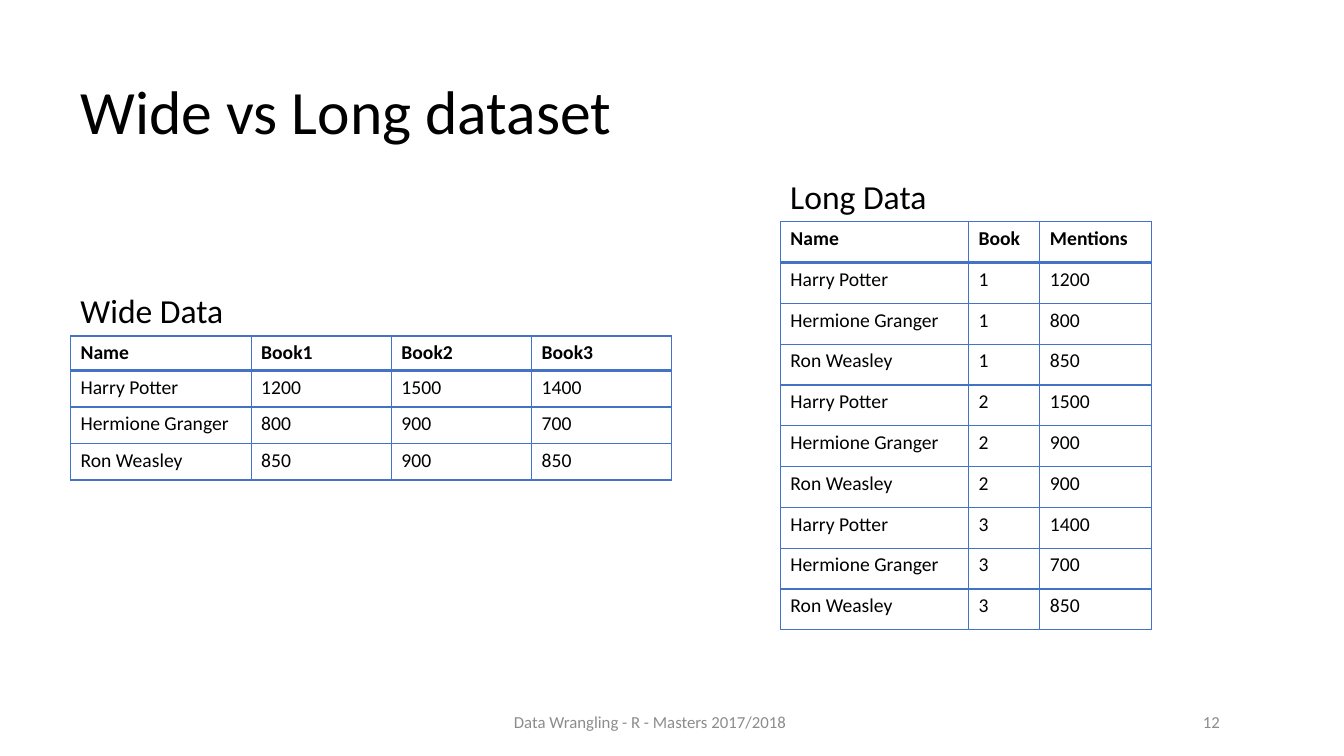
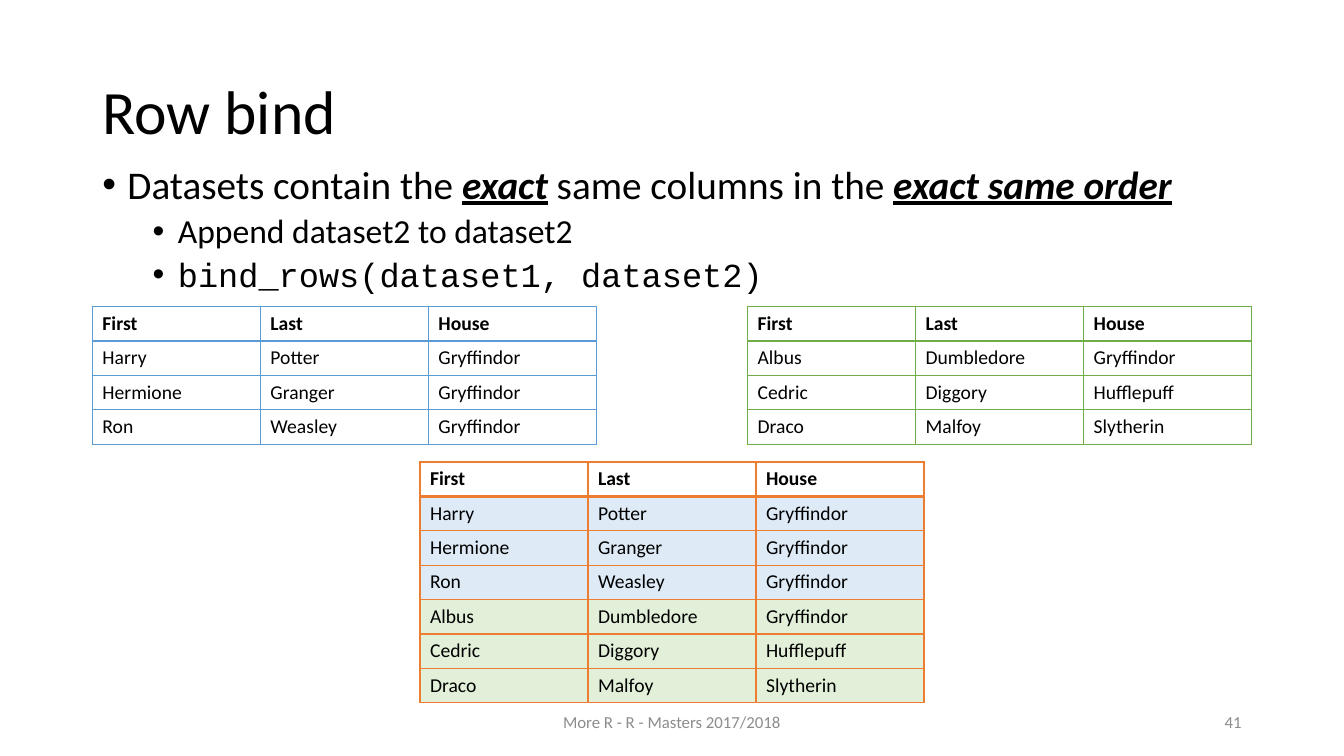
from dataclasses import dataclass, field
from typing import NamedTuple

from pptx import Presentation
from pptx.dml.color import RGBColor
from pptx.enum.text import MSO_ANCHOR, PP_ALIGN
from pptx.oxml.ns import qn
from pptx.slide import Slide
from pptx.table import _Cell
from pptx.text.text import TextFrame, _Paragraph
from pptx.util import Emu, Inches, Pt
from lxml.etree import SubElement

GRID_COLUMNS, GRID_ROWS = 160, 90
UNIT = Inches(1) / 12
CONTENT_WIDTH = 138
LABEL_HEIGHT = 6.1
FOOTER_TOP, FOOTER_HEIGHT = 83.5, 4.8

BLACK = RGBColor(0x00, 0x00, 0x00)
GREY = RGBColor(0x8C, 0x8C, 0x8C)
ROYAL_BLUE = RGBColor(0x44, 0x72, 0xC4)
BLUE = RGBColor(0x5B, 0x9B, 0xD5)
GREEN = RGBColor(0x70, 0xAD, 0x47)
ORANGE = RGBColor(0xED, 0x7D, 0x31)
PALE_BLUE = RGBColor(0xDE, 0xEB, 0xF7)
PALE_GREEN = RGBColor(0xE2, 0xF0, 0xD9)

BODY_FONT = "Calibri"
CODE_FONT = "Courier New"

Row = tuple[str, ...]


class Area(NamedTuple):
    """A place on the slide, in grid units."""
    left: float
    top: float
    width: float
    height: float


class Span(NamedTuple):
    text: str
    font: str = BODY_FONT
    stressed: bool = False


class Bullet(NamedTuple):
    spans: tuple[Span, ...]
    level: int = 0


@dataclass(frozen=True)
class DataTable:
    left: float
    top: float
    columns: tuple[float, ...]
    heights: tuple[float, ...]
    rows: tuple[Row, ...]
    color: RGBColor
    fills: dict[int, RGBColor] = field(default_factory=dict)


def units(count: float) -> Emu:
    return Emu(round(count * UNIT))


def write(para: _Paragraph, text: str, *, size: float, font: str = BODY_FONT,
          color: RGBColor = BLACK, bold: bool = False, italic: bool = False,
          underline: bool = False) -> None:
    span = para.add_run()
    span.text = text
    span.font.name = font
    span.font.size = Pt(size)
    span.font.color.rgb = color
    span.font.bold = bold
    span.font.italic = italic
    span.font.underline = underline


def add_frame(page: Slide, area: Area, anchor: MSO_ANCHOR) -> TextFrame:
    box = page.shapes.add_textbox(*map(units, area))
    box.text_frame.word_wrap = True
    box.text_frame.vertical_anchor = anchor
    return box.text_frame


def add_line(page: Slide, area: Area, text: str, *, size: float,
             color: RGBColor = BLACK, align: PP_ALIGN = PP_ALIGN.LEFT,
             anchor: MSO_ANCHOR = MSO_ANCHOR.MIDDLE) -> None:
    """Add a text box holding a single paragraph."""
    para = add_frame(page, area, anchor).paragraphs[0]
    para.alignment = align
    para.line_spacing = 0.9 if size > 40 else 1.0
    write(para, text, size=size, color=color)


def add_page(deck: Presentation, margin: float, title: str, footer: str,
             number: int) -> Slide:
    """Add a blank slide with the shared title, footer and slide number."""
    page = deck.slides.add_slide(deck.slide_layouts[6])
    add_line(page, Area(margin, 4.9, CONTENT_WIDTH, 17.4), title, size=44)
    add_line(page, Area(margin + 42, FOOTER_TOP, 54, FOOTER_HEIGHT), footer,
             size=12, color=GREY, align=PP_ALIGN.CENTER)
    add_line(page, Area(margin + 102, FOOTER_TOP, 36, FOOTER_HEIGHT), str(number),
             size=12, color=GREY, align=PP_ALIGN.RIGHT)
    return page


def add_bullets(page: Slide, area: Area, bullets: tuple[Bullet, ...]) -> None:
    frame = add_frame(page, area, MSO_ANCHOR.TOP)
    for index, bullet in enumerate(bullets):
        para = frame.add_paragraph() if index else frame.paragraphs[0]
        para.level = bullet.level
        para.line_spacing = 0.9
        para.space_before = Pt(5 if bullet.level else 10)
        properties = para._p.get_or_add_pPr()
        properties.set("marL", str(Inches(0.25 + 0.5 * bullet.level)))
        properties.set("indent", str(Inches(-0.25)))
        SubElement(properties, qn("a:buFont"), typeface="Arial")
        SubElement(properties, qn("a:buChar"), char="•")
        for text, font, stressed in bullet.spans:
            write(para, text, size=28 - 4 * bullet.level, font=font,
                  bold=stressed, italic=stressed, underline=stressed)


def set_borders(cell: _Cell, color: RGBColor, top: float, bottom: float) -> None:
    properties = cell._tc.get_or_add_tcPr()
    for side, width in (("L", 1), ("R", 1), ("T", top), ("B", bottom)):
        line = SubElement(properties, qn(f"a:ln{side}"), w=str(Pt(width)))
        fill = SubElement(line, qn("a:solidFill"))
        SubElement(fill, qn("a:srgbClr"), val=str(color))


def add_data_table(page: Slide, data: DataTable) -> None:
    """Draw a table with a bold header above a thicker rule."""
    area = Area(data.left, data.top, sum(data.columns), sum(data.heights))
    table = page.shapes.add_table(len(data.rows), len(data.columns),
                                  *map(units, area)).table
    table.first_row = table.horz_banding = False
    for column, width in zip(table.columns, data.columns):
        column.width = units(width)
    for index, (row, height) in enumerate(zip(table.rows, data.heights)):
        row.height = units(height)
        for cell, text in zip(row.cells, data.rows[index]):
            set_borders(cell, data.color, top=2 if index == 1 else 1,
                        bottom=2 if index == 0 else 1)
            if index in data.fills:
                cell.fill.solid()
                cell.fill.fore_color.rgb = data.fills[index]
            else:
                cell.fill.background()
            write(cell.text_frame.paragraphs[0], text, size=14, bold=index == 0)


def add_wide_and_long(deck: Presentation) -> None:
    margin = 8.4
    page = add_page(deck, margin, "Wide vs Long dataset",
                    "Data Wrangling - R - Masters 2017/2018", 12)
    mentions = (
        ("Harry Potter", "1200", "1500", "1400"),
        ("Hermione Granger", "800", "900", "700"),
        ("Ron Weasley", "850", "900", "850"),
    )
    long_rows = tuple((row[0], str(book), row[book])
                      for book in (1, 2, 3) for row in mentions)
    wide = DataTable(margin, 40, (21.5,) + (16.7,) * 3, (4.1,) + (4.35,) * 3,
                     (("Name", "Book1", "Book2", "Book3"),) + mentions, ROYAL_BLUE)
    long = DataTable(92.9, 26.4, (22.4, 8.5, 13.3), (4.86,) * 10,
                     (("Name", "Book", "Mentions"),) + long_rows, ROYAL_BLUE)
    for label, data in (("Wide Data", wide), ("Long Data", long)):
        add_data_table(page, data)
        add_line(page, Area(data.left, data.top - LABEL_HEIGHT, 20.2, LABEL_HEIGHT),
                 label, size=24, anchor=MSO_ANCHOR.TOP)


def add_row_bind(deck: Presentation) -> None:
    margin = 11
    page = add_page(deck, margin, "Row bind", "More R - R - Masters 2017/2018", 41)
    add_bullets(page, Area(margin, 19.1, CONTENT_WIDTH, 57.1), (
        Bullet((Span("Datasets contain the "), Span("exact", stressed=True),
                Span(" same columns in the "),
                Span("exact same order", stressed=True))),
        Bullet((Span("Append dataset2 to dataset2"),), level=1),
        Bullet((Span("bind_rows(dataset1, dataset2)", font=CODE_FONT),), level=1),
    ))
    header = (("First", "Last", "House"),)
    first = (
        ("Harry", "Potter", "Gryffindor"),
        ("Hermione", "Granger", "Gryffindor"),
        ("Ron", "Weasley", "Gryffindor"),
    )
    second = (
        ("Albus", "Dumbledore", "Gryffindor"),
        ("Cedric", "Diggory", "Hufflepuff"),
        ("Draco", "Malfoy", "Slytherin"),
    )
    columns = (20,) * 3
    width = sum(columns)
    fills = {index: PALE_BLUE if index <= len(first) else PALE_GREEN
             for index in range(1, len(first + second) + 1)}
    for left, top, rows, color, row_fills in (
        (margin, 36.5, first, BLUE, {}),
        (margin + CONTENT_WIDTH - width, 36.5, second, GREEN, {}),
        ((GRID_COLUMNS - width) / 2, 55, first + second, ORANGE, fills),
    ):
        add_data_table(page, DataTable(left, top, columns, (4.1,) * (len(rows) + 1),
                                       header + rows, color, row_fills))


def main() -> None:
    deck = Presentation()
    deck.slide_width, deck.slide_height = units(GRID_COLUMNS), units(GRID_ROWS)
    add_wide_and_long(deck)
    add_row_bind(deck)
    deck.save("out.pptx")


if __name__ == "__main__":
    main()
